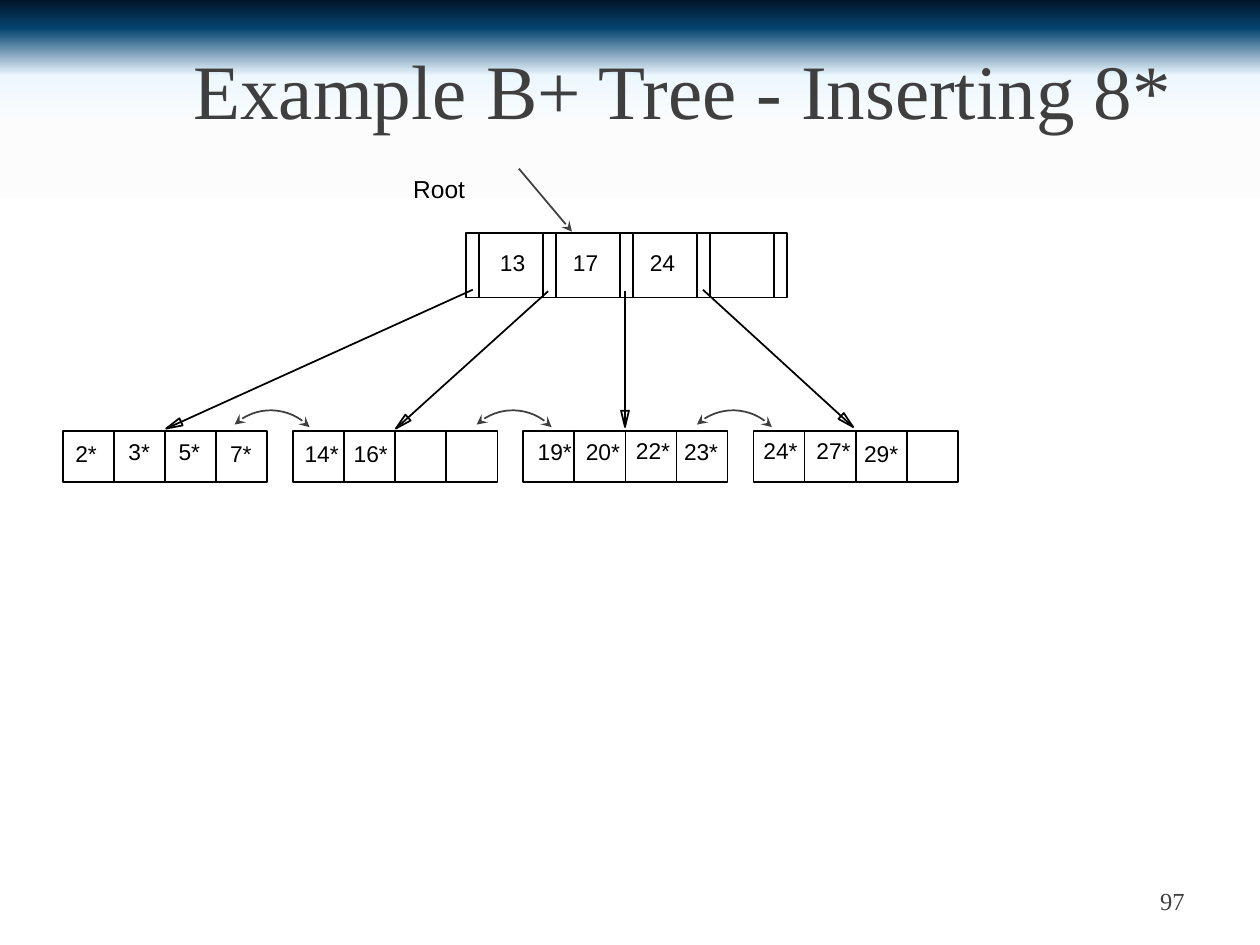
from math import cos, hypot, pi, sin

from lxml import etree
from pptx import Presentation
from pptx.dml.color import RGBColor
from pptx.enum.shapes import MSO_CONNECTOR, MSO_SHAPE
from pptx.enum.text import MSO_ANCHOR, MSO_AUTO_SIZE, PP_ALIGN
from pptx.oxml.ns import qn
from pptx.util import Cm, Pt

BLACK = RGBColor(0x00, 0x00, 0x00)
GRAY = RGBColor(0x3F, 0x3F, 0x3F)
BACKGROUND_STOPS = [
    (0, RGBColor(0x01, 0x16, 0x29)),
    (3, RGBColor(0x05, 0x44, 0x70)),
    (8, RGBColor(0xEC, 0xF7, 0xFE)),
    (13, RGBColor(0xFC, 0xFC, 0xFC)),
    (21, RGBColor(0xFF, 0xFF, 0xFF)),
    (98, RGBColor(0xFF, 0xFF, 0xFF)),
]
TITLE_FONT = {"name": "Times New Roman", "size": Pt(44)}
NUMBER_FONT = {"name": "Times New Roman", "size": Pt(14)}
ROOT_FONT = {"name": "Arial", "size": Pt(14)}
KEY_FONT = {"name": "Arial", "size": Pt(13)}


def write_text(shape, text, font_format, color, alignment):
    paragraph = shape.text_frame.paragraphs[0]
    paragraph.alignment = alignment
    run = paragraph.add_run()
    run.text = text
    for name, value in font_format.items():
        setattr(run.font, name, value)
    run.font.color.rgb = color


def draw_outline(shape, color, arrow_ends=()):
    if hasattr(shape, "fill"):
        shape.fill.background()
    shape.line.color.rgb = color
    shape.line.width = Pt(1)
    properties = shape.element.spPr
    for end in arrow_ends:
        etree.SubElement(properties.find(qn("a:ln")), qn(f"a:{end}"), type="stealth")
    etree.SubElement(properties, qn("a:effectLst"))


presentation = Presentation()
presentation.slide_width = Cm(25.4)
presentation.slide_height = Cm(19.05)
slide = presentation.slides.add_slide(presentation.slide_layouts[5])
shapes = slide.shapes

# Background gradient, running downwards
slide.background.fill.gradient()
gradient = slide.element.find(".//" + qn("a:gradFill"))
stops = gradient.find(qn("a:gsLst"))
for stop in list(stops):
    stops.remove(stop)
for position, color in BACKGROUND_STOPS:
    stop = etree.SubElement(stops, qn("a:gs"), pos=str(position * 1000))
    etree.SubElement(stop, qn("a:srgbClr"), val=str(color))
gradient.find(qn("a:lin")).set("ang", str(90 * 60000))

# Title and slide number
title = shapes.title
title.left, title.top, title.width, title.height = Cm(2.97), Cm(0.2), Cm(21.59), Cm(3.18)
title.text_frame.auto_size = MSO_AUTO_SIZE.NONE
title.text_frame.vertical_anchor = MSO_ANCHOR.MIDDLE
write_text(title, "Example B+ Tree - Inserting 8*", TITLE_FONT, GRAY, PP_ALIGN.CENTER)

number = shapes.add_textbox(Cm(18.21), Cm(17.65), Cm(5.92), Cm(1.02))
number.text_frame.word_wrap = True
number.text_frame.vertical_anchor = MSO_ANCHOR.MIDDLE
write_text(number, "97", NUMBER_FONT, GRAY, PP_ALIGN.RIGHT)

# Root node: four keys, each after a narrow pointer slot, and a last slot
ROOT_LEFT, ROOT_TOP, ROOT_STEP, ROOT_HEIGHT, SLOT = 9.4, 4.7, 1.55, 1.3, 0.26
for index in range(5):
    left = ROOT_LEFT + index * ROOT_STEP
    width = ROOT_STEP if index < 4 else SLOT
    cell = shapes.add_shape(MSO_SHAPE.RECTANGLE, Cm(left), Cm(ROOT_TOP), Cm(width), Cm(ROOT_HEIGHT))
    draw_outline(cell, BLACK)
    if index < 4:
        divider = shapes.add_connector(
            MSO_CONNECTOR.STRAIGHT, Cm(left + SLOT), Cm(ROOT_TOP),
            Cm(left + SLOT), Cm(ROOT_TOP + ROOT_HEIGHT))
        draw_outline(divider, BLACK)

# Four leaves of four cells
LEAF_LEFT, LEAF_TOP, LEAF_STEP, LEAF_CELL = 1.27, 8.69, 4.64, 1.03
for leaf in range(4):
    for index in range(4):
        left = LEAF_LEFT + leaf * LEAF_STEP + index * LEAF_CELL
        cell = shapes.add_shape(
            MSO_SHAPE.RECTANGLE, Cm(left), Cm(LEAF_TOP), Cm(LEAF_CELL), Cm(LEAF_CELL))
        draw_outline(cell, BLACK)

# Child pointers with hollow triangular heads
HEAD_LENGTH, HEAD_HALF = 0.33, 0.08
child_pointers = [
    (9.53, 5.84, 3.35, 8.64),
    (11.05, 5.87, 7.98, 8.64),
    (12.6, 5.87, 12.6, 8.61),
    (14.17, 5.84, 17.2, 8.61),
]
for x1, y1, x2, y2 in child_pointers:
    pointer = shapes.add_connector(MSO_CONNECTOR.STRAIGHT, Cm(x1), Cm(y1), Cm(x2), Cm(y2))
    draw_outline(pointer, BLACK)
    length = hypot(x2 - x1, y2 - y1)
    dx, dy = (x2 - x1) / length, (y2 - y1) / length
    base_x, base_y = x2 - HEAD_LENGTH * dx, y2 - HEAD_LENGTH * dy
    builder = shapes.build_freeform(Cm(x2), Cm(y2))
    builder.add_line_segments(
        [(Cm(base_x - side * dy), Cm(base_y + side * dx)) for side in (HEAD_HALF, -HEAD_HALF)],
        close=True)
    draw_outline(builder.convert_to_shape(), BLACK)

# Pointer to the root
root_pointer = shapes.add_connector(
    MSO_CONNECTOR.STRAIGHT, Cm(10.46), Cm(3.4), Cm(11.53), Cm(4.67))
draw_outline(root_pointer, GRAY, ["tailEnd"])

# Sibling links: quarter circles turned so that they arch over the gaps
ARC_TOP, ARC_RADIUS, ARC_PARTS = 8.05, 1.07, 16
for left in (4.95, 9.83, 14.27):
    builder = shapes.build_freeform(Cm(left), Cm(ARC_TOP))
    angles = [part * pi / 2 / ARC_PARTS for part in range(1, ARC_PARTS + 1)]
    builder.add_line_segments(
        [(Cm(left + ARC_RADIUS * sin(angle)), Cm(ARC_TOP + ARC_RADIUS * (1 - cos(angle))))
         for angle in angles],
        close=False)
    link = builder.convert_to_shape()
    link.rotation = 317
    draw_outline(link, GRAY, ["headEnd", "tailEnd"])

# Labels: text, left, top, width, font
labels = [("Root", 8.08, 3.38, 1.63, ROOT_FONT)]
labels += [(text, left, 4.9, 1.02, KEY_FONT)
           for text, left in [("13", 9.83), ("17", 11.3), ("24", 12.85)]]
labels += [(text, left, top, 0.94, KEY_FONT) for text, left, top in [
    ("2*", 1.27, 8.74), ("3*", 2.34, 8.71), ("5*", 3.35, 8.71), ("7*", 4.39, 8.74)]]
labels += [(text, left, top, 1.19, KEY_FONT) for text, left, top in [
    ("14*", 5.89, 8.74), ("16*", 6.88, 8.74),
    ("19*", 10.59, 8.71), ("20*", 11.56, 8.71), ("22*", 12.57, 8.69), ("23*", 13.54, 8.71),
    ("24*", 15.14, 8.69), ("27*", 16.21, 8.69), ("29*", 17.17, 8.74)]]
for text, left, top, width, font_format in labels:
    label = shapes.add_textbox(Cm(left), Cm(top), Cm(width), Cm(0.82))
    label.text_frame.word_wrap = False
    label.text_frame.auto_size = MSO_AUTO_SIZE.SHAPE_TO_FIT_TEXT
    write_text(label, text, font_format, BLACK, PP_ALIGN.LEFT)

presentation.save("out.pptx")
